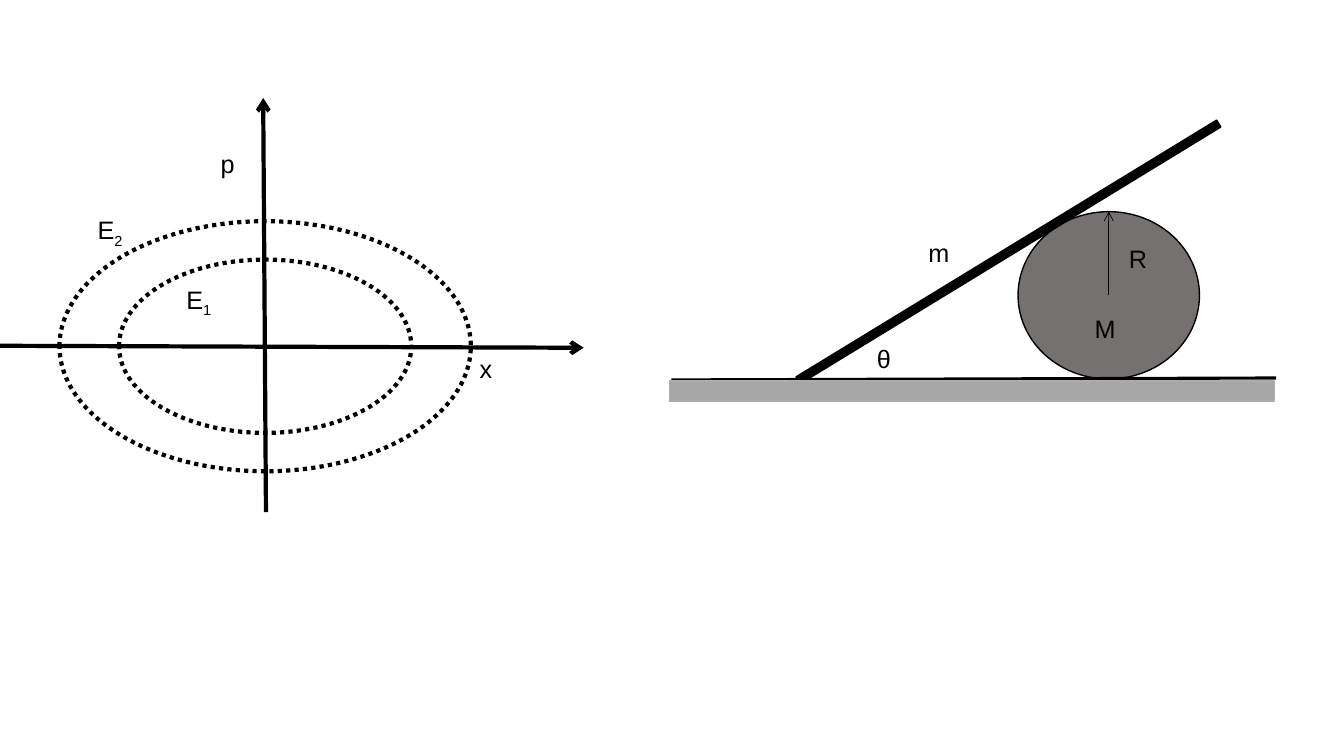
from pptx import Presentation
from pptx.dml.color import RGBColor
from pptx.enum.dml import MSO_LINE as Dash
from pptx.enum.shapes import MSO_CONNECTOR as Connector, MSO_SHAPE as Shape
from pptx.enum.text import MSO_AUTO_SIZE as AutoSize
from pptx.oxml.ns import qn
from pptx.util import Pt
from lxml.etree import SubElement


def color(value):
    return RGBColor.from_string(value)


class Diagram:
    """Holds the style and the current slide; lengths are in points."""
    font = "Arial"
    size = 18
    ink = "000000"

    def __init__(self, slide):
        self.shapes = slide.shapes

    def stroke(self, line, width, ink=None):
        line.color.rgb = color(ink or self.ink)
        line.width = Pt(width)

    def line(self, start, end, width, arrow=False):
        connector = self.shapes.add_connector(
            Connector.STRAIGHT, *map(Pt, (*start, *end)))
        self.stroke(connector.line, width)
        properties = connector._element.spPr
        if arrow:
            SubElement(properties.find(qn("a:ln")), qn("a:tailEnd"), type="arrow")
        SubElement(properties, qn("a:effectLst"))

    def shape(self, kind, left, top, width, height, fill=None,
              line_width=1, line_color=None):
        shape = self.shapes.add_shape(kind, *map(Pt, (left, top, width, height)))
        shape.shadow.inherit = False
        if fill:
            shape.fill.solid()
            shape.fill.fore_color.rgb = color(fill)
        else:
            shape.fill.background()
        self.stroke(shape.line, line_width, line_color)
        return shape

    def orbit(self, center, width, height):
        x, y = center
        ellipse = self.shape(Shape.OVAL, x - width / 2, y - height / 2,
                             width, height, line_width=3)
        ellipse.line.dash_style = Dash.ROUND_DOT

    def label(self, left, top, width, text, subscript=""):
        box = self.shapes.add_textbox(*map(Pt, (left, top, width, 29)))
        frame = box.text_frame
        frame.word_wrap = False
        frame.auto_size = AutoSize.SHAPE_TO_FIT_TEXT
        paragraph = frame.paragraphs[0]
        paragraph.add_run().text = text
        if subscript:
            run = paragraph.add_run()
            run.text = subscript
            run.font._element.set("baseline", "-25000")
        paragraph.font.name = self.font
        paragraph.font.size = Pt(self.size)
        paragraph.font.color.rgb = color(self.ink)


def draw_phase_space(diagram):
    # Axes
    diagram.line((0, 247), (417, 248.4), 3, arrow=True)
    diagram.line((190, 365.8), (188, 70), 3, arrow=True)
    diagram.label(335.5, 248.6, 23.5, "x")
    diagram.label(150.5, 102.2, 24.5, "p")

    # Energy curves
    center = (189.4, 247.3)
    diagram.orbit(center, 293.8, 178.6)
    diagram.orbit(center, 208.8, 123.8)
    diagram.label(126, 199.5, 33, "E", "1")
    diagram.label(62.7, 149.8, 33, "E", "2")


def draw_rod_and_cylinder(diagram):
    # Cylinder and floor line
    diagram.shape(Shape.OVAL, 727.2, 151.2, 129.6, 119.5, "767171")
    diagram.line((911.5, 270), (479.5, 271.4), 2.25)

    # Leaning rod
    rod = diagram.shape(Shape.RECTANGLE, 544.3, 177.1, 352.1, 5.8, diagram.ink)
    rod.rotation = 328.6

    # Radius and labels
    diagram.line((792, 211), (792, 151.2), 0.5, arrow=True)
    diagram.label(799.2, 170.6, 27.4, "R")
    diagram.label(774.7, 220.3, 29.5, "M")
    diagram.label(656, 166.3, 29.5, "m")
    diagram.label(619.2, 242, 24.5, "θ")

    # Ground
    diagram.shape(Shape.RECTANGLE, 478.1, 272.2, 432, 14.4, "A6A6A6",
                  line_color="AFABAB")


def main():
    presentation = Presentation()
    presentation.slide_width = Pt(960)
    presentation.slide_height = Pt(540)
    slide = presentation.slides.add_slide(presentation.slide_layouts[6])
    diagram = Diagram(slide)
    draw_phase_space(diagram)
    draw_rod_and_cylinder(diagram)
    presentation.save("out.pptx")


if __name__ == "__main__":
    main()
